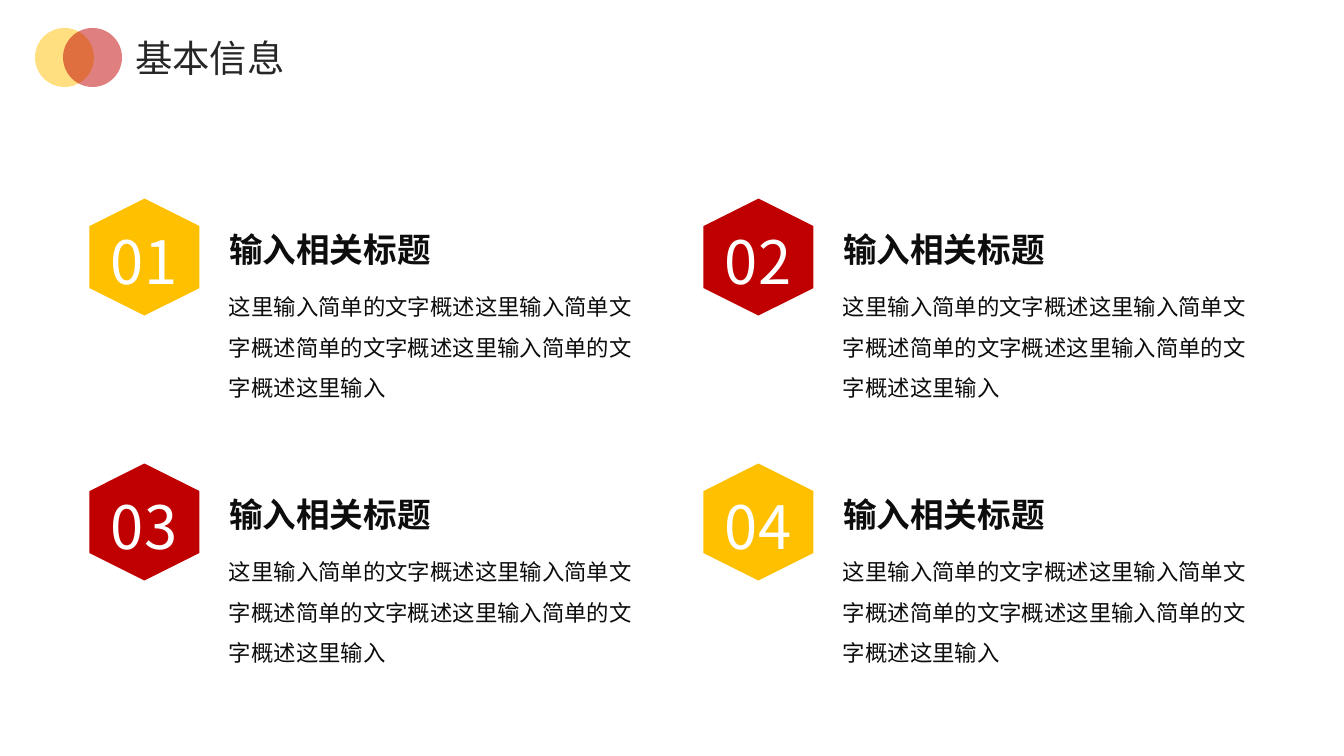
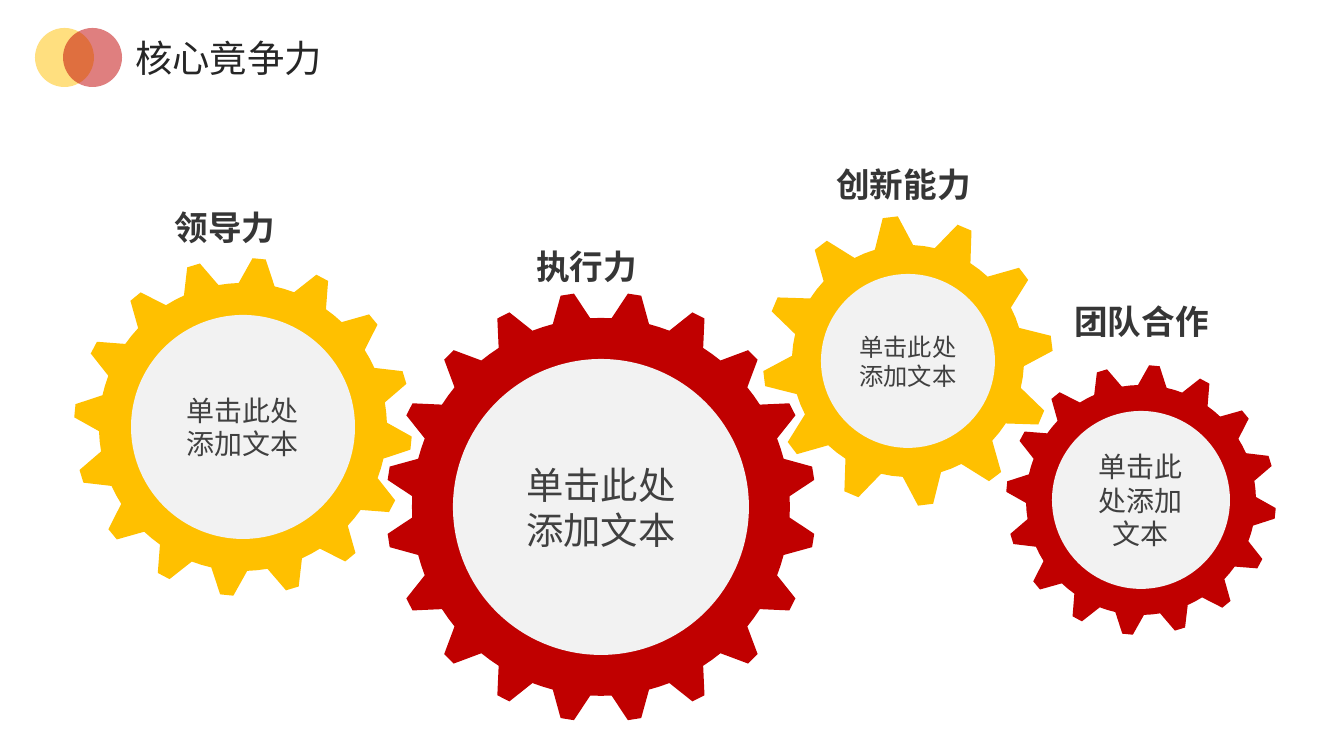
from collections import namedtuple
from dataclasses import dataclass
from math import cos, pi, sin

from lxml.etree import SubElement
from pptx import Presentation
from pptx.dml.color import RGBColor
from pptx.enum.shapes import MSO_SHAPE
from pptx.enum.text import MSO_ANCHOR, MSO_AUTO_SIZE, PP_ALIGN
from pptx.oxml.ns import qn
from pptx.util import Pt

EMU_PER_PX = 914400 / 134.4
TITLE_ONLY = 5


def px(length):
    return round(length * EMU_PER_PX)


@dataclass(frozen=True)
class Theme:
    yellow: str = "FFC000"
    red: str = "C00000"
    white: str = "FFFFFF"
    hub: str = "F2F2F2"
    title_ink: str = "262626"
    body_ink: str = "0D0D0D"
    label_ink: str = "363636"
    hub_ink: str = "404040"
    font: str = "Noto Sans CJK SC"
    body_font: str = "Calibri"
    label_font: str = "Arial"
    title_size: int = 20
    number_size: int = 32
    heading_size: int = 18
    body_size: int = 12


THEME = Theme()
Gear = namedtuple("Gear", "center tip root hub teeth phase color size")

# Centre and radii in px, phase in degrees clockwise from the top
GEARS = [
    Gear((601, 507), 215, 189, 148, 20, 9, THEME.red, 20),
    Gear((908, 361), 145, 116, 87, 12, -7, THEME.yellow, 13),
    Gear((243, 427), 169, 144, 112, 16, 5.5, THEME.yellow, 15),
    Gear((1141, 500), 135, 115, 89, 16, 5.7, THEME.red, 15),
]
GEAR_LABELS = [
    ("领导力", (85, 199, 280, 55), THEME.label_font),
    ("执行力", (446, 238, 281, 55), THEME.font),
    ("团队合作", (1019, 293, 245, 55), THEME.font),
    ("创新能力", (763, 156, 281, 55), THEME.label_font),
]
ITEM_HEADING = "输入相关标题"
ITEM_BODY = "这里输入简单的文字概述这里输入简单文字概述简单的文字概述这里输入简单的文字概述这里输入"
HUB_TEXT = "单击此处添加文本"


class Painter:
    def __init__(self, deck, theme):
        self.deck = deck
        self.theme = theme
        self.page = None

    def start(self, title, width):
        self.page = self.deck.slides.add_slide(self.deck.slide_layouts[TITLE_ONLY])
        box = self.page.shapes.title
        box.left, box.top, box.width, box.height = map(px, (122, 28, width, 59))
        self.fill_text(box, title, self.theme.title_size, self.theme.title_ink, wrap=False)

    def fill_text(self, box, words, size, color, font=None, bold=False, align=PP_ALIGN.LEFT,
                  anchor=MSO_ANCHOR.TOP, spacing=None, inset=(13, 7), wrap=True, grow=True):
        frame = box.text_frame
        frame.word_wrap = wrap
        frame.auto_size = MSO_AUTO_SIZE.SHAPE_TO_FIT_TEXT if grow else MSO_AUTO_SIZE.NONE
        frame.vertical_anchor = anchor
        frame.margin_left = frame.margin_right = px(inset[0])
        frame.margin_top = frame.margin_bottom = px(inset[1])
        para = frame.paragraphs[0]
        para.alignment = align
        if spacing:
            para.line_spacing = spacing
        span = para.add_run()
        span.text = words
        span.font.size = Pt(size)
        span.font.bold = bold
        span.font.color.rgb = RGBColor.from_string(color)
        span.font.name = font or self.theme.font
        SubElement(span._r.get_or_add_rPr(), qn("a:ea"), typeface=self.theme.font)

    def text(self, place, words, size, color, **style):
        box = self.page.shapes.add_textbox(*map(px, place))
        self.fill_text(box, words, size, color, **style)

    def paint(self, shape, color, alpha=None):
        shape.shadow.inherit = False
        shape.line.fill.background()
        shape.fill.solid()
        shape.fill.fore_color.rgb = RGBColor.from_string(color)
        if alpha:
            tint = shape._element.spPr.find(qn("a:solidFill")).find(qn("a:srgbClr"))
            SubElement(tint, qn("a:alpha"), val=str(alpha * 1000))

    def shape(self, kind, place, color, alpha=None, parent=None):
        shapes = (parent or self.page).shapes
        shape = shapes.add_shape(kind, *map(px, place))
        self.paint(shape, color, alpha)
        return shape

    def gear(self, gear):
        group = self.page.shapes.add_group_shape()
        x, y = gear.center
        step = 2 * pi / gear.teeth
        # One tooth and the valley after it, as (share of a step, radius)
        profile = [(-0.32, gear.root), (-0.1, gear.tip), (0.1, gear.tip),
                   (0.32, gear.root), (0.5, gear.root)]
        points = []
        for tooth in range(gear.teeth):
            for share, radius in profile:
                angle = gear.phase * pi / 180 + (tooth + share) * step
                points.append((px(x + radius * sin(angle)), px(y - radius * cos(angle))))
        outline = group.shapes.build_freeform(*points[0])
        outline.add_line_segments(points[1:], close=True)
        self.paint(outline.convert_to_shape(), gear.color)

        place = (x - gear.hub, y - gear.hub, 2 * gear.hub, 2 * gear.hub)
        hub = self.shape(MSO_SHAPE.OVAL, place, self.theme.hub, parent=group)
        self.fill_text(hub, HUB_TEXT, gear.size, self.theme.hub_ink,
                       font=self.theme.body_font, align=PP_ALIGN.CENTER,
                       anchor=MSO_ANCHOR.MIDDLE, inset=(12, 7), grow=False)

    def item(self, number, x, y, color):
        theme = self.theme
        hexagon = self.shape(MSO_SHAPE.HEXAGON, (x, y, 117, 110), color)
        hexagon.rotation = 270
        self.text((x + 12, y + 16, 98, 86), f"{number:02}", theme.number_size, theme.white,
                  wrap=False)
        self.text((x + 130, y + 71, 434, 136), ITEM_BODY, theme.body_size, theme.body_ink,
                  font=theme.body_font, spacing=1.5)
        self.text((x + 130, y + 20, 297, 54), ITEM_HEADING, theme.heading_size,
                  theme.body_ink, bold=True)

    def title_mark(self):
        for x, color in ((35, self.theme.yellow), (63, self.theme.red)):
            self.shape(MSO_SHAPE.OVAL, (x, 28, 59, 59), color, alpha=50)


def main():
    deck = Presentation()
    deck.slide_width, deck.slide_height = px(1344), px(756)
    painter = Painter(deck, THEME)

    # Basic information: a two by two grid with alternating colours
    painter.start("基本信息", 177)
    for column in range(2):
        for row in range(2):
            color = (THEME.yellow, THEME.red)[(column + row) % 2]
            painter.item(1 + column + 2 * row, 86 + 614 * column, 202 + 265 * row, color)
    painter.title_mark()

    # Core strengths: four gears with labels
    painter.start("核心竟争力", 215)
    for gear in GEARS:
        painter.gear(gear)
    for words, place, font in GEAR_LABELS:
        painter.text(place, words, THEME.heading_size, THEME.label_ink, font=font, bold=True,
                     align=PP_ALIGN.CENTER, inset=(15, 8))
    painter.title_mark()

    deck.save("out.pptx")


if __name__ == "__main__":
    main()
